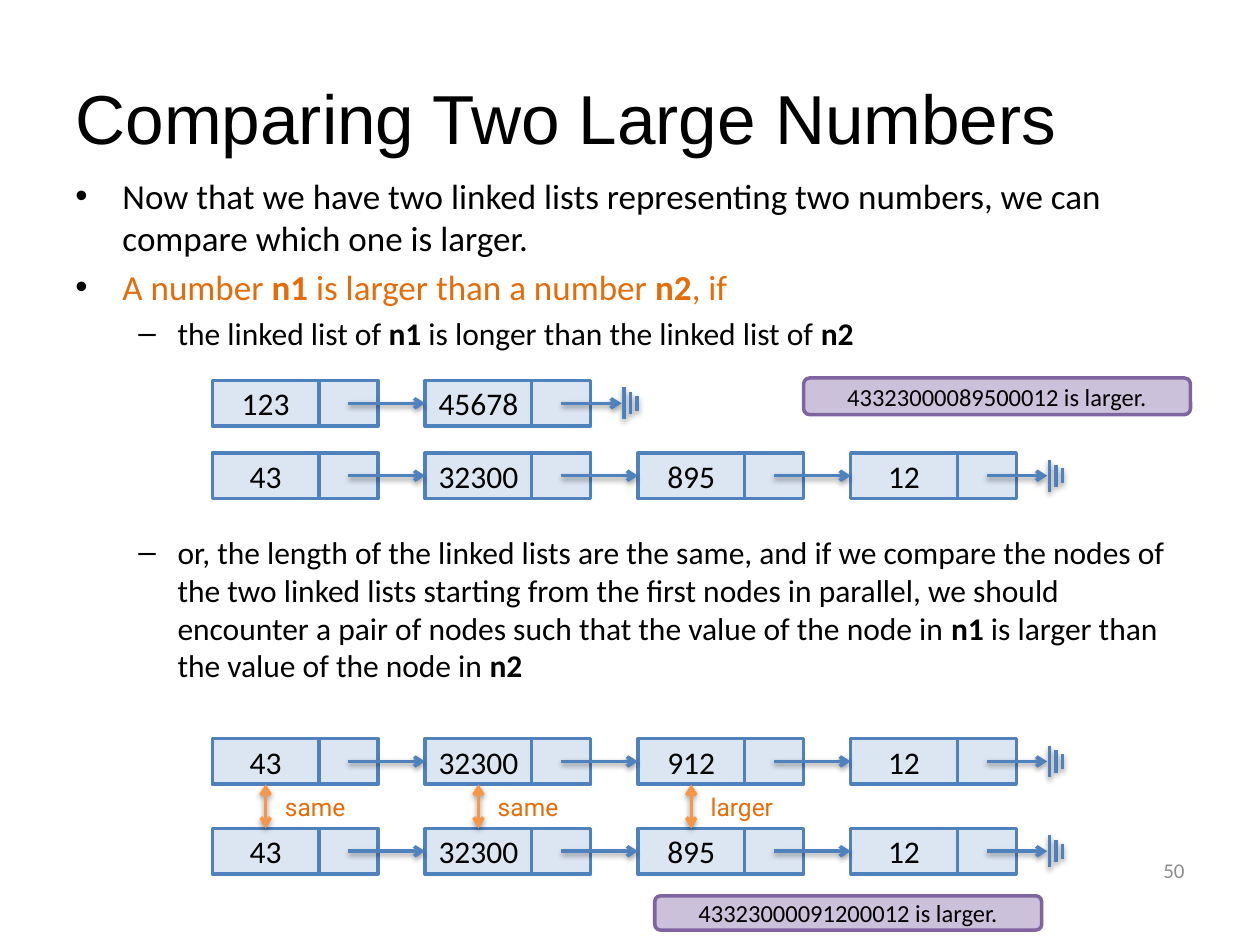
from lxml import etree
from pptx import Presentation
from pptx.dml.color import RGBColor
from pptx.enum.shapes import MSO_CONNECTOR, MSO_SHAPE
from pptx.enum.text import MSO_ANCHOR, PP_ALIGN
from pptx.oxml import parse_xml
from pptx.oxml.ns import nsdecls, qn
from pptx.util import Cm, Pt

RECTANGLE = MSO_SHAPE.RECTANGLE
ROUNDED = MSO_SHAPE.ROUNDED_RECTANGLE
STRAIGHT = MSO_CONNECTOR.STRAIGHT
MIDDLE = MSO_ANCHOR.MIDDLE
LEFT, CENTER, RIGHT = PP_ALIGN.LEFT, PP_ALIGN.CENTER, PP_ALIGN.RIGHT
TOP_SITE, LEFT_SITE, BOTTOM_SITE = 0, 1, 2

BLACK, GREY, ORANGE = "000000", "8C8C8C", "E46C0A"
NODE_FILL, NODE_LINE = "DCE6F2", "4F81BD"
RESULT_FILL, RESULT_LINE = "CCC1DA", "8064A2"
COMPARE_LINE = "F79646"

# Linked-list measures in centimetres
LIST_LEFT, NODE_PITCH = 4.28, 4.29
VALUE_WIDTH, POINTER_WIDTH, NODE_HEIGHT = 2.15, 1.19, 0.92
NULL_ARROW_END = 3.96
NULL_BARS = [(4.01, 0.64), (4.14, 0.45), (4.27, 0.31)]  # offset, height

# Text with ** around bold words, level, size, colour, space before
BODY = [
    ("Now that we have two linked lists representing two numbers, we can "
     "compare which one is larger.", 0, 20, BLACK, 0),
    ("A number **n1** is larger than a number **n2**, if", 0, 20, ORANGE, 4),
    ("the linked list of **n1** is longer than the linked list of **n2**",
     1, 18, BLACK, 3.6),
    ("or, the length of the linked lists are the same, and if we compare the "
     "nodes of the two linked lists starting from the first nodes in parallel, "
     "we should encounter a pair of nodes such that the value of the node in "
     "**n1** is larger than the value of the node in **n2**",
     1, 18, BLACK, 103.5),
]
BULLETS = [("•", 0.95, -0.95), ("–", 2.06, -0.79)]  # mark, margin, indent


def color(hex_string):
    return RGBColor.from_string(hex_string)


def format_font(font, size, name, hex_string):
    font.size = Pt(size)
    font.name = name
    font.color.rgb = color(hex_string)


def add_box(slide, kind, left, top, width, height, fill, line, text="", size=18):
    shape = slide.shapes.add_shape(kind, Cm(left), Cm(top), Cm(width), Cm(height))
    shape.shadow.inherit = False
    shape.fill.solid()
    shape.fill.fore_color.rgb = color(fill)
    shape.line.color.rgb = color(line)
    shape.line.width = Pt(2)
    if text:
        frame = shape.text_frame
        frame.word_wrap = False
        frame.vertical_anchor = MIDDLE
        frame.text = text
        frame.paragraphs[0].alignment = CENTER
        format_font(frame.paragraphs[0].runs[0].font, size, "Calibri", BLACK)
    return shape


def add_line(slide, start, end, hex_string, arrows=()):
    """Draw a softly shadowed line; arrows may name headEnd and tailEnd."""
    connector = slide.shapes.add_connector(
        STRAIGHT, Cm(start[0]), Cm(start[1]), Cm(end[0]), Cm(end[1]))
    connector.line.color.rgb = color(hex_string)
    connector.line.width = Pt(2)
    line_element = connector.line._get_or_add_ln()
    for arrow in arrows:
        etree.SubElement(line_element, qn(f"a:{arrow}"), type="arrow")
    connector._element.spPr.append(parse_xml(
        f'<a:effectLst {nsdecls("a")}>'
        '<a:outerShdw blurRad="40000" dist="20000" dir="5400000" rotWithShape="0">'
        '<a:srgbClr val="000000"><a:alpha val="38000"/></a:srgbClr>'
        '</a:outerShdw></a:effectLst>'))
    return connector


def add_text(slide, left, top, width, height, text, size, font, hex_string,
             alignment=LEFT, wrap=True):
    frame = slide.shapes.add_textbox(
        Cm(left), Cm(top), Cm(width), Cm(height)).text_frame
    frame.word_wrap = wrap
    frame.vertical_anchor = MIDDLE
    frame.text = text
    frame.paragraphs[0].alignment = alignment
    format_font(frame.paragraphs[0].runs[0].font, size, font, hex_string)


def add_title(slide, left, top, width, height, text):
    title = slide.shapes.title
    title.left, title.top, title.width, title.height = map(
        Cm, (left, top, width, height))
    frame = title.text_frame
    frame.text = text
    frame.vertical_anchor = MIDDLE
    frame.paragraphs[0].alignment = LEFT
    format_font(frame.paragraphs[0].runs[0].font, 39.6, "Arial", BLACK)


def set_bullet(paragraph, level):
    mark, margin, indent = BULLETS[level]
    paragraph.level = level
    properties = paragraph._p.get_or_add_pPr()
    properties.set("marL", str(Cm(margin)))
    properties.set("indent", str(Cm(indent)))
    bullet_color = etree.SubElement(properties, qn("a:buClr"))
    etree.SubElement(bullet_color, qn("a:srgbClr"), val=BLACK)
    etree.SubElement(properties, qn("a:buFont"), typeface="Arial")
    etree.SubElement(properties, qn("a:buChar"), char=mark)


def add_body(slide, left, top, width, height):
    frame = slide.shapes.add_textbox(
        Cm(left), Cm(top), Cm(width), Cm(height)).text_frame
    frame.word_wrap = True
    for index, (text, level, size, hex_string, space) in enumerate(BODY):
        paragraph = frame.add_paragraph() if index else frame.paragraphs[0]
        set_bullet(paragraph, level)
        if space:
            paragraph.space_before = Pt(space)
        for position, part in enumerate(text.split("**")):
            if part:
                run = paragraph.add_run()
                run.text = part
                run.font.bold = position % 2 == 1
                format_font(run.font, size, "Calibri", hex_string)


def add_linked_list(slide, left, top, values):
    """Draw the nodes, their links and the null sign; return the value cells."""
    middle = top + NODE_HEIGHT / 2
    node_lefts = [left + index * NODE_PITCH for index in range(len(values))]
    cells = []
    for node_left, value in zip(node_lefts, values):
        cells.append(add_box(slide, RECTANGLE, node_left, top, VALUE_WIDTH,
                             NODE_HEIGHT, NODE_FILL, NODE_LINE, value))
        add_box(slide, RECTANGLE, node_left + VALUE_WIDTH, top, POINTER_WIDTH,
                NODE_HEIGHT, NODE_FILL, NODE_LINE)
    last_left = node_lefts[-1]
    ends = node_lefts[1:] + [last_left + NULL_ARROW_END]
    for node_left, end, next_cell in zip(node_lefts, ends, cells[1:] + [None]):
        start = node_left + VALUE_WIDTH + POINTER_WIDTH / 2
        link = add_line(slide, (start, middle), (end, middle), NODE_LINE,
                        ["tailEnd"])
        if next_cell is not None:
            link.end_connect(next_cell, LEFT_SITE)
    for offset, height in NULL_BARS:
        x = last_left + offset
        add_line(slide, (x, middle - height / 2), (x, middle + height / 2),
                 NODE_LINE)
    return cells


def add_comparison(slide, left, top, gap, first_values, second_values, labels):
    """Draw two lists one above the other, with a labelled arrow per pair."""
    lower_top = top + NODE_HEIGHT + gap
    upper = add_linked_list(slide, left, top, first_values)
    lower = add_linked_list(slide, left, lower_top, second_values)
    for index, label in enumerate(labels):
        x = left + index * NODE_PITCH + VALUE_WIDTH / 2
        arrow = add_line(slide, (x, top + NODE_HEIGHT), (x, lower_top),
                         COMPARE_LINE, ["headEnd", "tailEnd"])
        arrow.begin_connect(upper[index], BOTTOM_SITE)
        arrow.end_connect(lower[index], TOP_SITE)
        add_text(slide, x + 0.14, top + NODE_HEIGHT, 1.9, gap, label, 14,
                 "Roboto", ORANGE, wrap=False)


def add_result(slide, left, top, height, text):
    add_box(slide, ROUNDED, left, top, 7.8, height, RESULT_FILL, RESULT_LINE,
            text, 14)


def main():
    presentation = Presentation()
    presentation.slide_width, presentation.slide_height = Cm(25.4), Cm(19.05)
    slide = presentation.slides.add_slide(presentation.slide_layouts[5])
    add_title(slide, 1.27, 0.76, 22.86, 3.18, "Comparing Two Large Numbers")
    add_body(slide, 1.27, 3.4, 22.86, 13)
    add_text(slide, 18.2, 17.04, 5.93, 1.02, "50", 12, "Calibri", GREY, RIGHT)
    add_linked_list(slide, LIST_LEFT, 7.67, ["123", "45678"])
    add_linked_list(slide, LIST_LEFT, 9.13, ["43", "32300", "895", "12"])
    add_result(slide, 16.2, 7.62, 0.74, "43323000089500012 is larger.")
    add_comparison(slide, LIST_LEFT, 14.89, 0.89,
                   ["43", "32300", "912", "12"], ["43", "32300", "895", "12"],
                   ["same", "same", "larger"])
    add_result(slide, 13.2, 18.06, 0.69, "43323000091200012 is larger.")
    presentation.save("out.pptx")


if __name__ == "__main__":
    main()
